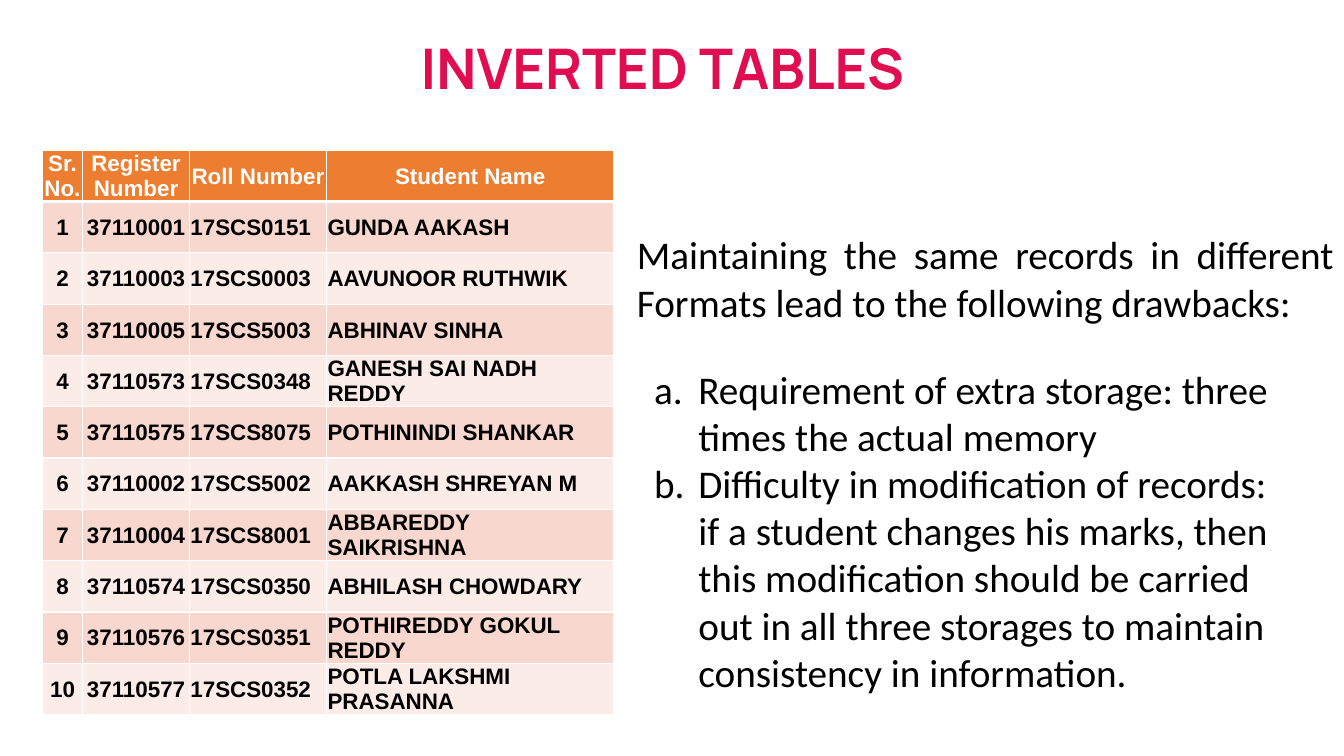
from lxml.etree import SubElement
from pptx import Presentation
from pptx.dml.color import RGBColor
from pptx.enum.text import MSO_ANCHOR, PP_ALIGN
from pptx.oxml.ns import qn
from pptx.util import Inches, Pt

COLORS = {
    "title": "E00D50",
    "header": "ED7D31",
    "odd": "F8D7CE",
    "even": "FCECE8",
    "white": "FFFFFF",
    "black": "000000",
}
SLIDE_WIDTH, SLIDE_HEIGHT = Inches(13.33), Inches(7.5)
GRID_COLUMNS, GRID_ROWS = 160, 90

TITLE_BOX = (23.64, 4.2, 110.4, 7.68)
STUDENTS_BOX = (5.04, 17.88, 68.04, 67.21)
DRAWBACKS_BOX = (74.64, 26.88, 85.32, 57.72)

COLUMN_SHARES = (4.8, 12.72, 16.32, 34.2)
HEADINGS = ("Sr. No.", "Register Number", "Roll Number", "Student Name")
STUDENTS = (
    ("37110001", "17SCS0151", "GUNDA AAKASH"),
    ("37110003", "17SCS0003", "AAVUNOOR RUTHWIK"),
    ("37110005", "17SCS5003", "ABHINAV SINHA"),
    ("37110573", "17SCS0348", "GANESH SAI NADH REDDY"),
    ("37110575", "17SCS8075", "POTHININDI SHANKAR"),
    ("37110002", "17SCS5002", "AAKKASH SHREYAN M"),
    ("37110004", "17SCS8001", "ABBAREDDY SAIKRISHNA"),
    ("37110574", "17SCS0350", "ABHILASH CHOWDARY"),
    ("37110576", "17SCS0351", "POTHIREDDY GOKUL REDDY"),
    ("37110577", "17SCS0352", "POTLA LAKSHMI PRASANNA"),
)
INTRODUCTION = "Maintaining the same records in different Formats lead to the following drawbacks:"
DRAWBACKS = (
    "Requirement of extra storage: three\vtimes the actual memory",
    "Difficulty in modification of records:\vif a student changes his marks, then\v"
    "this modification should be carried\vout in all three storages to maintain\v"
    "consistency in information.",
)


def across(columns):
    return round(SLIDE_WIDTH * columns / GRID_COLUMNS)


def down(rows):
    return round(SLIDE_HEIGHT * rows / GRID_ROWS)


def place(box):
    left, top, width, height = box
    return across(left), down(top), across(width), down(height)


def write(paragraph, text, *, font, size, color="black", bold=False,
          align=PP_ALIGN.LEFT, space_before=0):
    paragraph.text = text
    paragraph.alignment = align
    paragraph.space_before = Pt(space_before)
    for run in paragraph.runs:
        run.font.name = font
        run.font.size = Pt(size)
        run.font.bold = bold
        run.font.color.rgb = RGBColor.from_string(COLORS[color])


def number_with_letter(paragraph):
    properties = paragraph._p.get_or_add_pPr()
    properties.set("marL", str(Inches(0.61)))
    properties.set("indent", str(-Inches(0.44)))
    SubElement(properties, qn("a:buFont"), typeface="Calibri")
    SubElement(properties, qn("a:buAutoNum"), type="alphaLcPeriod")


def outline(cell, bottom):
    properties = cell._tc.get_or_add_tcPr()
    for side, points in (("L", 1), ("R", 1), ("T", 1), ("B", bottom)):
        border = SubElement(properties, qn(f"a:ln{side}"), w=str(Pt(points)))
        SubElement(SubElement(border, qn("a:solidFill")), qn("a:srgbClr"), val=COLORS["white"])


def add_title(slide, box):
    frame = slide.shapes.add_textbox(*place(box)).text_frame
    frame.word_wrap = True
    frame.vertical_anchor = MSO_ANCHOR.MIDDLE
    write(frame.paragraphs[0], "INVERTED TABLES", font="Manrope", size=40,
          color="title", bold=True, align=PP_ALIGN.CENTER)


def add_students(slide, box):
    records = [HEADINGS] + [(str(number), *student) for number, student in enumerate(STUDENTS, 1)]
    table = slide.shapes.add_table(len(records), len(HEADINGS), *place(box)).table
    for column, share in zip(table.columns, COLUMN_SHARES):
        column.width = across(share)
    for row_number, record in enumerate(records):
        is_header = row_number == 0
        band = "header" if is_header else ("even", "odd")[row_number % 2]
        for column_number, text in enumerate(record):
            cell = table.cell(row_number, column_number)
            cell.margin_left = cell.margin_right = cell.margin_top = Inches(0.01)
            cell.margin_bottom = 0
            cell.vertical_anchor = MSO_ANCHOR.MIDDLE
            outline(cell, bottom=3 if is_header else 1)
            cell.fill.solid()
            cell.fill.fore_color.rgb = RGBColor.from_string(COLORS[band])
            centered = is_header or column_number < 2
            write(cell.text_frame.paragraphs[0], text, font="Arial", size=16, bold=True,
                  color="white" if is_header else "black",
                  align=PP_ALIGN.CENTER if centered else PP_ALIGN.LEFT)


def add_drawbacks(slide, box):
    frame = slide.shapes.add_textbox(*place(box)).text_frame
    frame.word_wrap = True
    write(frame.paragraphs[0], INTRODUCTION, font="Calibri", size=28, align=PP_ALIGN.JUSTIFY)
    for position, drawback in enumerate(DRAWBACKS):
        item = frame.add_paragraph()
        write(item, drawback, font="Calibri", size=28, space_before=0 if position else 29)
        number_with_letter(item)


def main():
    presentation = Presentation()
    presentation.slide_width, presentation.slide_height = SLIDE_WIDTH, SLIDE_HEIGHT
    slide = presentation.slides.add_slide(presentation.slide_layouts[6])
    add_students(slide, STUDENTS_BOX)
    add_title(slide, TITLE_BOX)
    add_drawbacks(slide, DRAWBACKS_BOX)
    presentation.save("out.pptx")


if __name__ == "__main__":
    main()
